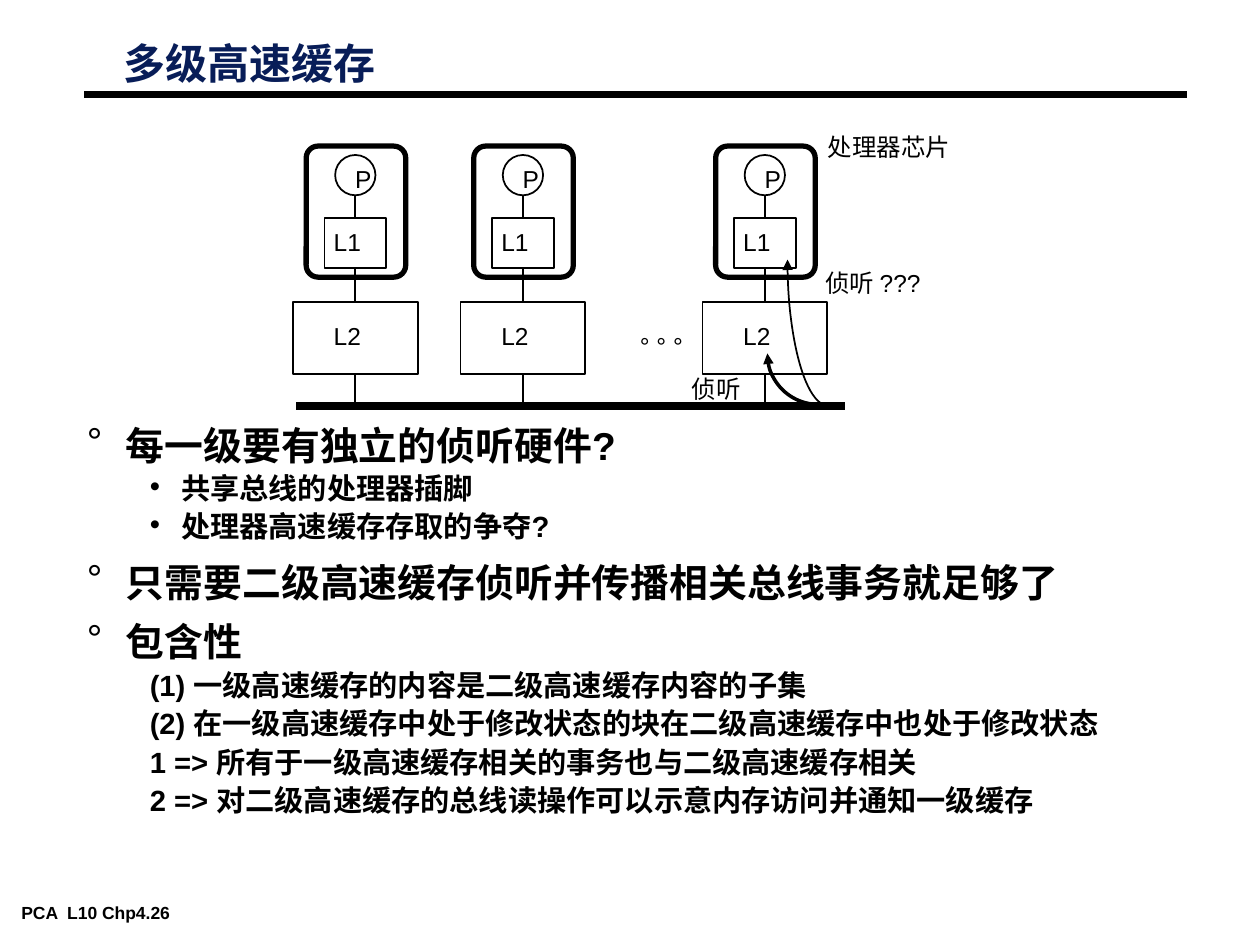
from pptx import Presentation
from pptx.dml.color import RGBColor
from pptx.enum.shapes import MSO_CONNECTOR, MSO_SHAPE
from pptx.enum.text import MSO_ANCHOR, MSO_AUTO_SIZE
from pptx.oxml.ns import qn
from pptx.util import Inches, Pt
from lxml import etree

BLACK = RGBColor(0, 0, 0)
WHITE = RGBColor(255, 255, 255)
NAVY = RGBColor(0x08, 0x1D, 0x58)
FONT = "Arial"

# Content
TITLE = "多级高速缓存"
FOOTER = "PCA  L10 Chp4.26"
BODY = [  # level, bullet, text
    (0, "°", "每一级要有独立的侦听硬件?"),
    (1, "•", "共享总线的处理器插脚"),
    (1, "•", "处理器高速缓存存取的争夺?"),
    (0, "°", "只需要二级高速缓存侦听并传播相关总线事务就足够了"),
    (0, "°", "包含性"),
    (1, None, "(1) 一级高速缓存的内容是二级高速缓存内容的子集"),
    (1, None, "(2) 在一级高速缓存中处于修改状态的块在二级高速缓存中也处于修改状态"),
    (1, None, "1 => 所有于一级高速缓存相关的事务也与二级高速缓存相关"),
    (1, None, "2 => 对二级高速缓存的总线读操作可以示意内存访问并通知一级缓存"),
]
LEVELS = [  # size, line spacing, space before, margin, indent
    (22.2, 0.55, 19.5, 0.31, -0.31),
    (16.7, 0.65, 9, 0.75, -0.25),
]
LABELS = [  # text, left, top, width
    ("° ° °", 4.98, 2.58, 0.54),
    ("侦听", 5.39, 2.92, 0.59),
    ("侦听 ???", 6.45, 2.08, 1.1),
    ("处理器芯片", 6.47, 1, 1.25),
]
CORES = [2.82, 4.15, 6.07]  # centre of each processor column
BUS = 3.22
SNOOPS = [  # left, top, width, height, line width
    (6.09, 2.4, 0.81, 0.81, 2),
    (6.25, 0.9, 0.65, 2.32, 1),
]

prs = Presentation()
prs.slide_width, prs.slide_height = Inches(10), Inches(7.5)
slide = prs.slides.add_slide(prs.slide_layouts[6])
page = slide.shapes


def write(para, text, size=14, color=BLACK, bold=False):
    run = para.add_run()
    run.text = text
    font = run.font
    font.name, font.size, font.bold = FONT, Pt(size), bold
    font.color.rgb = color


def label(text, x, y, w, h=0.33, area=page, wrap=False, pad=(0.1, 0.05),
          anchor=MSO_ANCHOR.TOP, space=None, **style):
    frame = area.add_textbox(Inches(x), Inches(y), Inches(w), Inches(h)).text_frame
    frame.word_wrap = wrap
    frame.auto_size = MSO_AUTO_SIZE.NONE if wrap else MSO_AUTO_SIZE.SHAPE_TO_FIT_TEXT
    frame.vertical_anchor = anchor
    frame.margin_left = frame.margin_right = Inches(pad[0])
    frame.margin_top = frame.margin_bottom = Inches(pad[1])
    para = frame.paragraphs[0]
    if space:
        para.line_spacing = space
    if text:
        write(para, text, **style)
    return frame


def shape(kind, x, y, w, h, area=page, fill=None, width=1):
    item = area.add_shape(kind, Inches(x), Inches(y), Inches(w), Inches(h))
    item.shadow.inherit = False
    if fill is None:
        item.fill.background()
    else:
        item.fill.solid()
        item.fill.fore_color.rgb = fill
    item.line.color.rgb = BLACK
    item.line.width = Pt(width)
    return item


def line(x1, y1, x2, y2, area=page, width=1):
    item = area.add_connector(MSO_CONNECTOR.STRAIGHT, Inches(x1), Inches(y1),
                              Inches(x2), Inches(y2))
    item.line.color.rgb = BLACK
    item.line.width = Pt(width)
    etree.SubElement(item._element.spPr, qn("a:effectLst"))
    return item


def core(mid):
    area = page.add_group_shape().shapes

    def block(kind, y, w, h):
        return shape(kind, mid - w / 2, y, w, h, area=area, fill=WHITE)

    block(MSO_SHAPE.OVAL, 1.23, 0.32, 0.32)
    first = block(MSO_SHAPE.RECTANGLE, 1.73, 0.49, 0.4)
    second = block(MSO_SHAPE.RECTANGLE, 2.4, 0.99, 0.57)
    line(mid, 1.55, mid, 1.73, area=area).end_connect(first, 0)
    link = line(mid, 2.13, mid, 2.4, area=area)
    link.begin_connect(first, 2)
    link.end_connect(second, 0)
    line(mid, 2.97, mid, BUS, area=area).begin_connect(second, 2)
    label("P", mid - 0.1, 1.25, 0.33, area=area)
    label("L1", mid - 0.27, 1.75, 0.42, area=area)
    label("L2", mid - 0.27, 2.5, 0.42, area=area)


# Footer, title and rule
label(FOOTER, 0.1, 7.13, 1.84, 0.22, pad=(0.07, 0.03), size=10, bold=True)
line(0.67, 0.75, 9.42, 0.75, width=4.5)
label(TITLE, 0.88, 0.33, 2.39, 0.4, wrap=True, anchor=MSO_ANCHOR.MIDDLE,
      space=0.87, size=24, color=NAVY, bold=True)

# Body list
frame = label("", 0.59, 3.44, 9.08, 3.25, wrap=True)
for i, (level, mark, text) in enumerate(BODY):
    para = frame.add_paragraph() if i else frame.paragraphs[0]
    size, space, before, margin, indent = LEVELS[level]
    para.level = level
    para.line_spacing = space
    para.space_before = Pt(before)
    props = para._p.get_or_add_pPr()
    props.set("marL", str(Inches(margin)))
    props.set("indent", str(Inches(indent)))
    if mark:
        tint = etree.SubElement(props, qn("a:buClr"))
        etree.SubElement(tint, qn("a:srgbClr"), val=str(BLACK))
        etree.SubElement(props, qn("a:buFont"), typeface=FONT)
        etree.SubElement(props, qn("a:buChar"), char=mark)
    else:
        etree.SubElement(props, qn("a:buNone"))
    write(para, text, size=size, bold=True)

# Bus, processors and chip outlines
line(2.35, BUS, 6.71, BUS, width=4.5)
for mid in CORES:
    core(mid)
for mid in CORES:
    chip = shape(MSO_SHAPE.ROUNDED_RECTANGLE, mid - 0.39, 1.16, 0.79, 1.04, width=3)
    chip.adjustments[0] = 0.12

# Snoop arrows: quarter arcs from the bottom round to the left
for x, y, w, h, width in SNOOPS:
    arc = shape(MSO_SHAPE.ARC, x, y, w, h, width=width)
    arc.adjustments[0], arc.adjustments[1] = 54, 108
    edge = arc._element.spPr.get_or_add_ln()
    etree.SubElement(edge, qn("a:tailEnd"), type="triangle")

# Labels
for text, x, y, w in LABELS:
    label(text, x, y, w)

prs.save("out.pptx")
